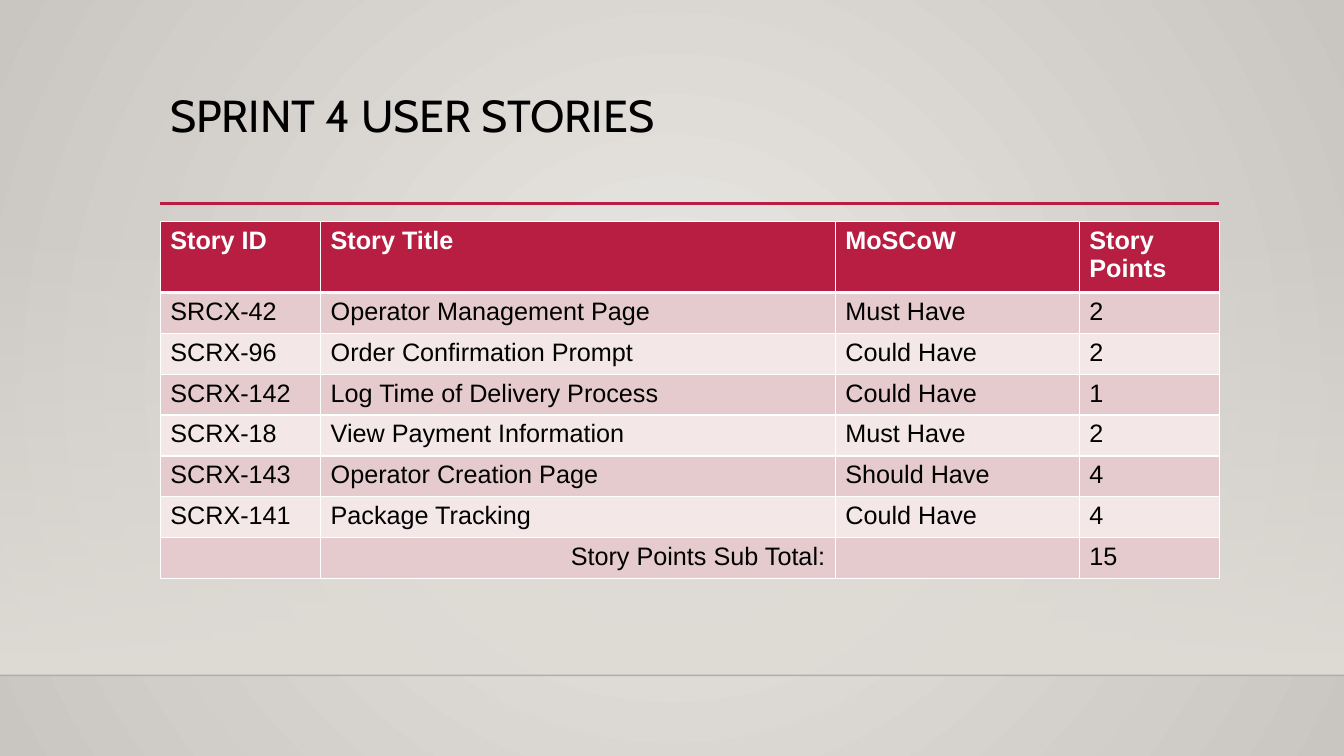
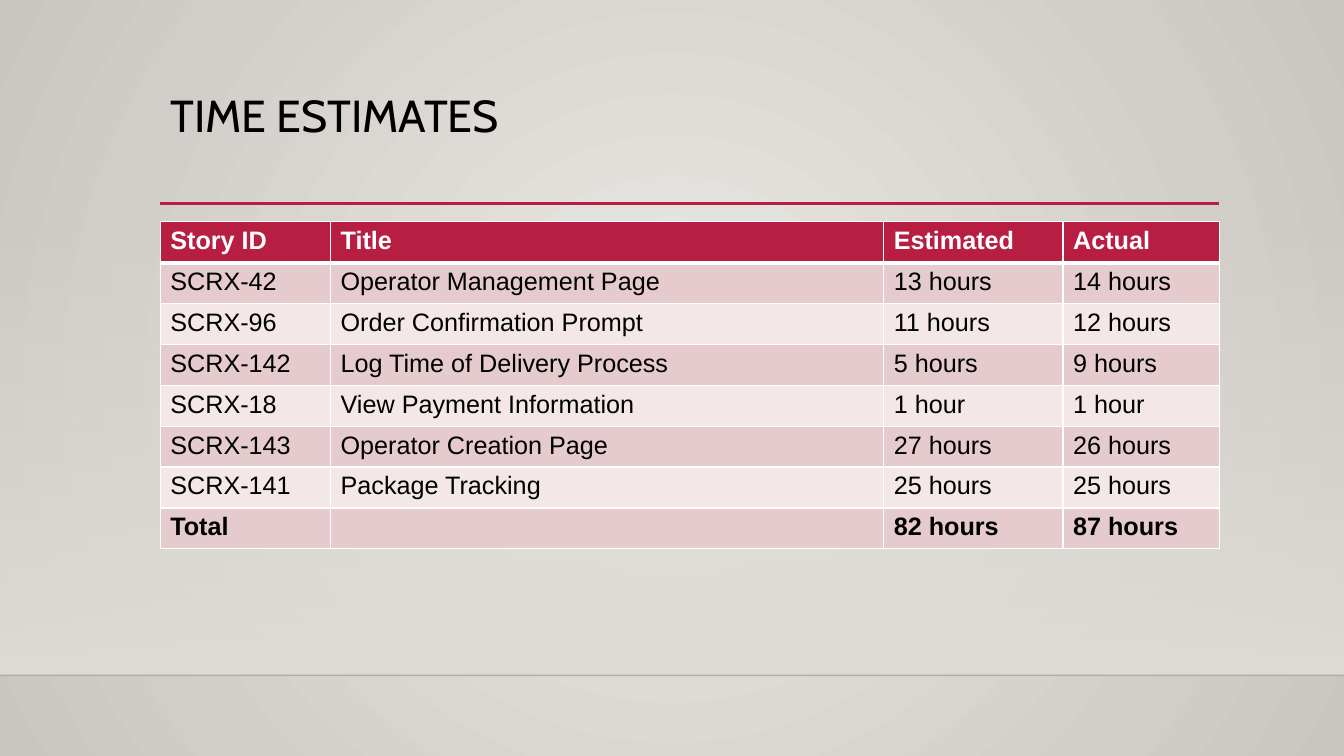
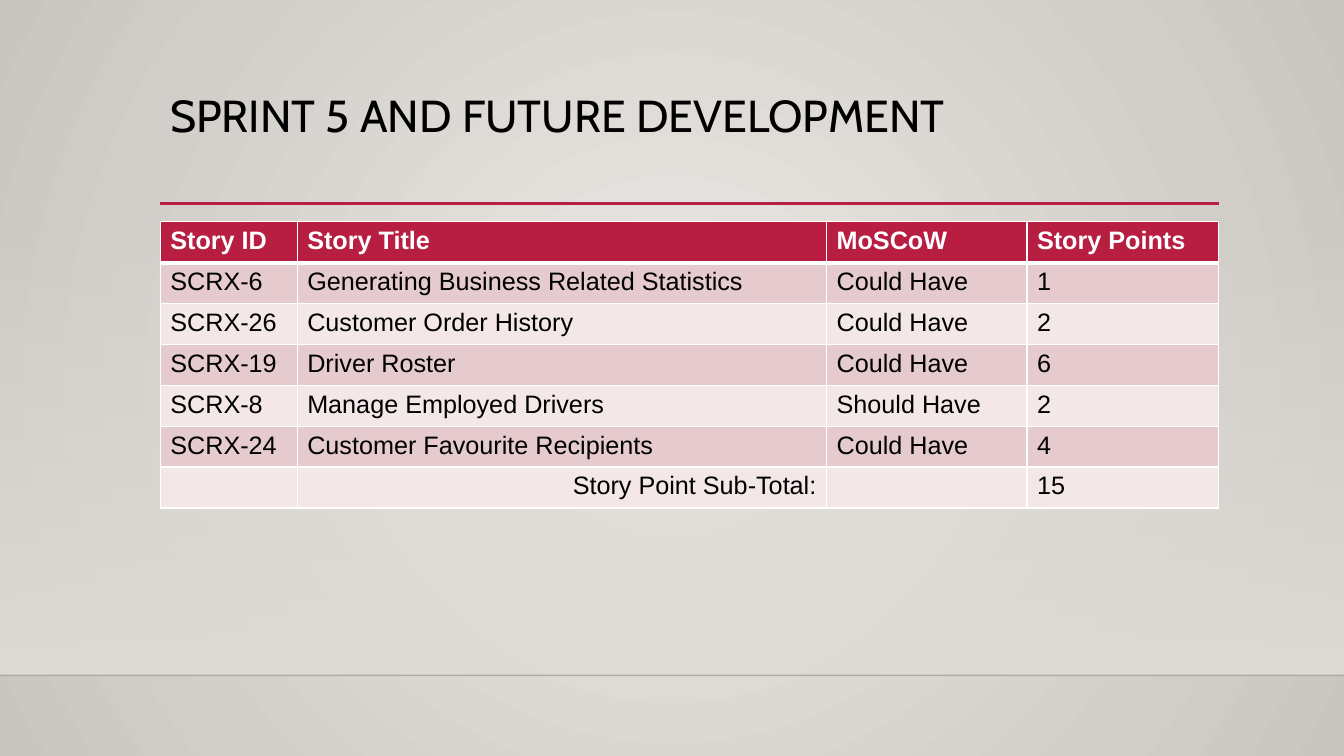
from lxml.etree import SubElement
from pptx import Presentation
from pptx.dml.color import RGBColor
from pptx.enum.shapes import MSO_CONNECTOR as Connector, MSO_SHAPE as Shape
from pptx.enum.text import MSO_ANCHOR as Anchor, PP_ALIGN as Align
from pptx.oxml.ns import qn
from pptx.util import Cm, Pt

COLORS = {
    "glow": "EBE9E6",
    "edge": "C9C5C0",
    "wall": "DFDBD5",
    "floor_line": "000001",
    "accent": "B71E42",
    "band_dark": "E5CBCD",
    "band_light": "F3E7E8",
    "text": "000000",
    "white": "FFFFFF",
}
TITLE_FONT, BODY_FONT = "Cabin", "Arial"

SLIDE_W, SLIDE_H = Cm(33.87), Cm(19.05)
LEFT, CONTENT_W = Cm(4.04), Cm(26.68)
TITLE_TOP, TITLE_H = Cm(2.24), Cm(2.92)
RULE_Y = Cm(5.13)
TABLE_TOP, ROW_H = Cm(5.59), Cm(1.03)
WALL_TOP, FLOOR_Y = Cm(5.61), Cm(17.02)

STORY_SLIDES = [
    {
        "title": "SPRINT 4 USER STORIES",
        "columns": [4.04, 12.97, 6.15, 3.53],
        "rows": [
            ("Story ID", "Story Title", "MoSCoW", "Story Points"),
            ("SRCX-42", "Operator Management Page", "Must Have", "2"),
            ("SCRX-96", "Order Confirmation Prompt", "Could Have", "2"),
            ("SCRX-142", "Log Time of Delivery Process", "Could Have", "1"),
            ("SCRX-18", "View Payment Information", "Must Have", "2"),
            ("SCRX-143", "Operator Creation Page", "Should Have", "4"),
            ("SCRX-141", "Package Tracking", "Could Have", "4"),
            ("", "Story Points Sub Total:", "", "15"),
        ],
    },
    {
        "title": "TIME ESTIMATES",
        "columns": [4.29, 13.94, 4.52, 3.94],
        "rows": [
            ("Story ID", "Title", "Estimated", "Actual"),
            ("SCRX-42", "Operator Management Page", "13 hours", "14 hours"),
            ("SCRX-96", "Order Confirmation Prompt", "11 hours", "12 hours"),
            ("SCRX-142", "Log Time of Delivery Process", "5 hours", "9 hours"),
            ("SCRX-18", "View Payment Information", "1 hour", "1 hour"),
            ("SCRX-143", "Operator Creation Page", "27 hours", "26 hours"),
            ("SCRX-141", "Package Tracking", "25 hours", "25 hours"),
            ("Total", "", "82 hours", "87 hours"),
        ],
        "bold_total": True,
    },
    {
        "title": "SPRINT 5 AND FUTURE DEVELOPMENT",
        "columns": [3.45, 13.34, 5.05, 4.83],
        "rows": [
            ("Story ID", "Story Title", "MoSCoW", "Story Points"),
            ("SCRX-6", "Generating Business Related Statistics", "Could Have", "1"),
            ("SCRX-26", "Customer Order History", "Could Have", "2"),
            ("SCRX-19", "Driver Roster", "Could Have", "6"),
            ("SCRX-8", "Manage Employed Drivers", "Should Have", "2"),
            ("SCRX-24", "Customer Favourite Recipients", "Could Have", "4"),
            ("", "Story Point Sub-Total:", "", "15"),
        ],
    },
]


def rgb(name):
    return RGBColor.from_string(COLORS[name])


def set_alpha(element, percent):
    """Make the first colour inside the element partly transparent."""
    color = next(element.iter(qn("a:srgbClr")))
    SubElement(color, qn("a:alpha"), val=str(percent * 1000))


def set_gradient(fill, start, end):
    fill.gradient()
    for stop, name in zip(fill.gradient_stops, (start, end)):
        stop.color.rgb = rgb(name)


def style_run(run, font, size, color, bold=False):
    run.font.name = font
    run.font.size = Pt(size)
    run.font.bold = bold
    run.font.color.rgb = rgb(color)


def set_backdrop(master):
    """Give every slide the circular gradient, through the master."""
    set_gradient(master.background.fill, "glow", "edge")
    gradient = next(master.element.iter(qn("a:gradFill")))
    gradient.remove(gradient.find(qn("a:lin")))
    circle = SubElement(gradient, qn("a:path"), path="circle")
    SubElement(circle, qn("a:fillToRect"), l="50000", t="50000", r="50000", b="50000")


def add_line(slide, left, y, width, color, weight):
    line = slide.shapes.add_connector(Connector.STRAIGHT, left, y, left + width, y)
    line.line.color.rgb = rgb(color)
    line.line.width = Pt(weight)
    SubElement(line._element.spPr, qn("a:effectLst"))
    return line


def add_wall(slide, left, top, width, height):
    wall = slide.shapes.add_shape(Shape.RECTANGLE, left, top, width, height)
    wall.shadow.inherit = False
    wall.line.fill.background()
    set_gradient(wall.fill, "wall", "wall")
    wall.fill.gradient_angle = 270
    set_alpha(wall._element.spPr, 0)
    floor_line = add_line(slide, left, top + height, width, "floor_line", 1)
    set_alpha(floor_line._element.spPr, 20)


def add_title(slide, text, left, top, width, height):
    frame = slide.shapes.add_textbox(left, top, width, height).text_frame
    frame.word_wrap = True
    frame.vertical_anchor = Anchor.TOP
    frame.text = text
    heading = frame.paragraphs[0]
    heading.line_spacing = 0.9
    style_run(heading.runs[0], TITLE_FONT, 32, "text")


def set_borders(cell, top=1, bottom=1):
    """Draw white borders; the lines must stand before the fill."""
    properties = cell._tc.get_or_add_tcPr()
    weights = {"lnL": 1, "lnR": 1, "lnT": top, "lnB": bottom}
    for position, (side, weight) in enumerate(weights.items()):
        border = SubElement(properties, qn(f"a:{side}"), w=str(Pt(weight)))
        solid = SubElement(border, qn("a:solidFill"))
        SubElement(solid, qn("a:srgbClr"), val=COLORS["white"])
        properties.insert(position, border)


def add_story_table(slide, rows, columns, left, top, width, bold_total=False):
    table = slide.shapes.add_table(
        len(rows), len(columns), left, top, width, ROW_H * len(rows)
    ).table
    table.horz_banding = False
    for column, column_width in zip(table.columns, columns):
        column.width = Cm(column_width)
    last = len(rows) - 1
    for r, row in enumerate(rows):
        table.rows[r].height = ROW_H
        header = r == 0
        band = "accent" if header else "band_dark" if r % 2 else "band_light"
        for c, text in enumerate(row):
            cell = table.cell(r, c)
            cell.fill.solid()
            cell.fill.fore_color.rgb = rgb(band)
            set_borders(cell, top=3 if r == 1 else 1, bottom=3 if header else 1)
            if not text:
                continue
            cell.text_frame.text = text
            entry = cell.text_frame.paragraphs[0]
            if r == last and c == 1:
                entry.alignment = Align.RIGHT
            bold = header or (bold_total and r == last)
            style_run(entry.runs[0], BODY_FONT, 18, "white" if header else "text", bold)


def add_story_slide(deck, title, columns, rows, bold_total=False):
    slide = deck.slides.add_slide(deck.slide_layouts[6])
    add_wall(slide, 0, WALL_TOP, SLIDE_W, FLOOR_Y - WALL_TOP)
    add_line(slide, LEFT, RULE_Y, CONTENT_W, "accent", 2.5)
    add_title(slide, title, LEFT, TITLE_TOP, CONTENT_W, TITLE_H)
    add_story_table(slide, rows, columns, LEFT, TABLE_TOP, CONTENT_W, bold_total)


def main():
    deck = Presentation()
    deck.slide_width, deck.slide_height = SLIDE_W, SLIDE_H
    set_backdrop(deck.slide_master)
    for content in STORY_SLIDES:
        add_story_slide(deck, **content)
    deck.save("out.pptx")


if __name__ == "__main__":
    main()
